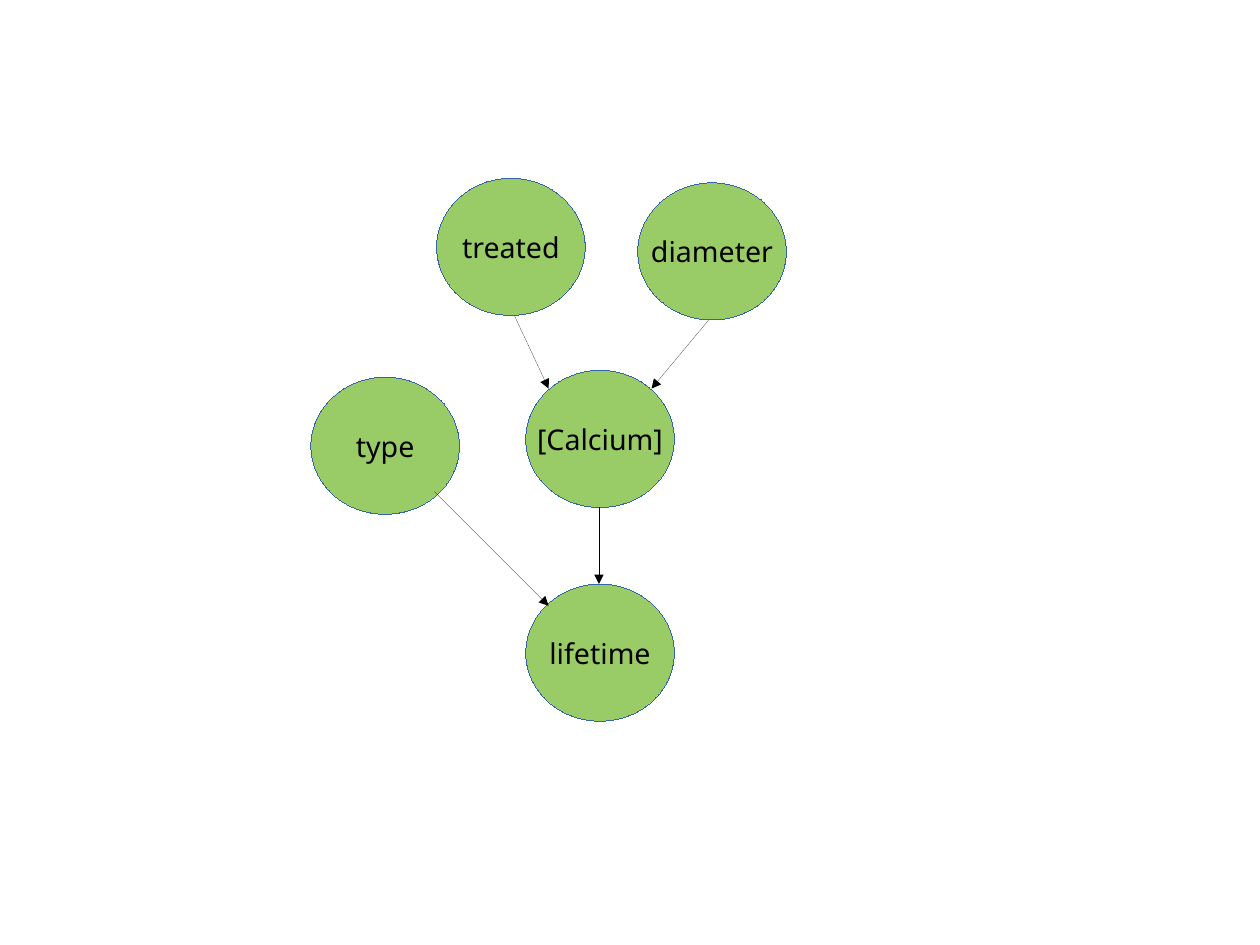
from pptx import Presentation
from pptx.dml.color import RGBColor
from pptx.enum.shapes import MSO_CONNECTOR, MSO_SHAPE
from pptx.enum.text import MSO_ANCHOR, PP_ALIGN
from pptx.oxml.ns import qn
from pptx.util import Cm, Inches, Pt
from lxml.etree import SubElement

# Grid: ten cells to the inch
CELL = Inches(0.1)
WIDE, HIGH = 13, 12


def grid(*cells):
    return [round(n * CELL) for n in cells]


def paint(part, tone):
    part.rgb = RGBColor.from_string(tone)


deck = Presentation()
deck.slide_width, deck.slide_height = Cm(28), Cm(21)
slide = deck.slides.add_slide(deck.slide_layouts[6])

# Nodes: label, left column, top row
nodes = [
    ("diameter", 55.8, 16),
    ("[Calcium]", 46, 32.4),
    ("type", 27.2, 33),
    ("treated", 38.2, 15.6),
    ("lifetime", 46, 51.1),
]
for label, left, top in nodes:
    node = slide.shapes.add_shape(MSO_SHAPE.OVAL, *grid(left, top, WIDE, HIGH))
    node.shadow.inherit = False
    node.fill.solid()
    paint(node.fill.fore_color, "99CC66")
    paint(node.line.color, "3465A4")
    # A hairline needs its zero width written out
    node._element.spPr.find(qn("a:ln")).set("w", "0")
    frame = node.text_frame
    frame.word_wrap = False
    frame.vertical_anchor = MSO_ANCHOR.MIDDLE
    line = frame.paragraphs[0]
    line.alignment = PP_ALIGN.CENTER
    run = line.add_run()
    run.text = label
    run.font.name = "Noto Sans"
    run.font.size = Pt(18)
    paint(run.font.color, "000000")

# Arrows: start column and row, end column and row
arrows = [
    (38, 43, 48, 53),
    (52.4, 44.4, 52.4, 51.1),
    (45, 27.6, 48, 34),
    (62, 28, 57, 34),
]
for ends in arrows:
    arrow = slide.shapes.add_connector(MSO_CONNECTOR.STRAIGHT, *grid(*ends))
    paint(arrow.line.color, "000000")
    props = arrow._element.spPr
    stroke = props.find(qn("a:ln"))
    stroke.set("w", "0")
    SubElement(stroke, qn("a:tailEnd"), type="triangle")
    SubElement(props, qn("a:effectLst"))

deck.save("out.pptx")
